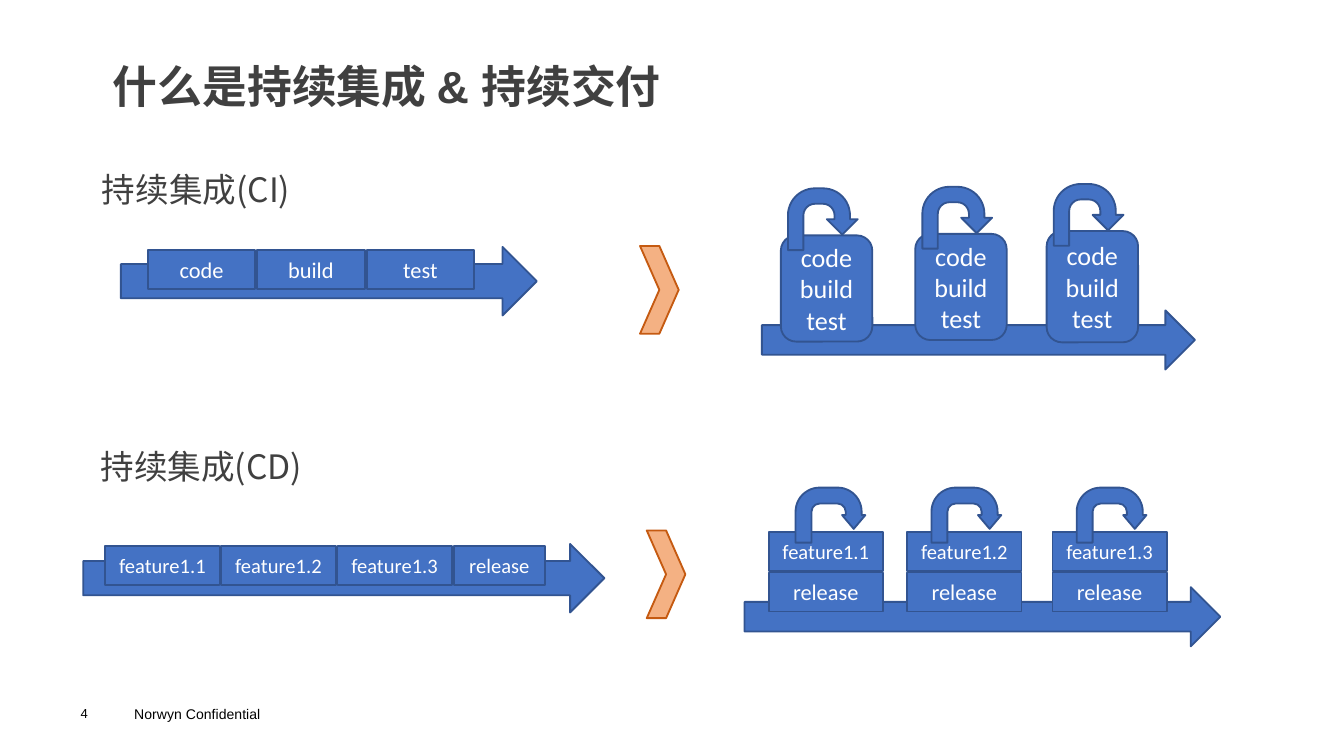
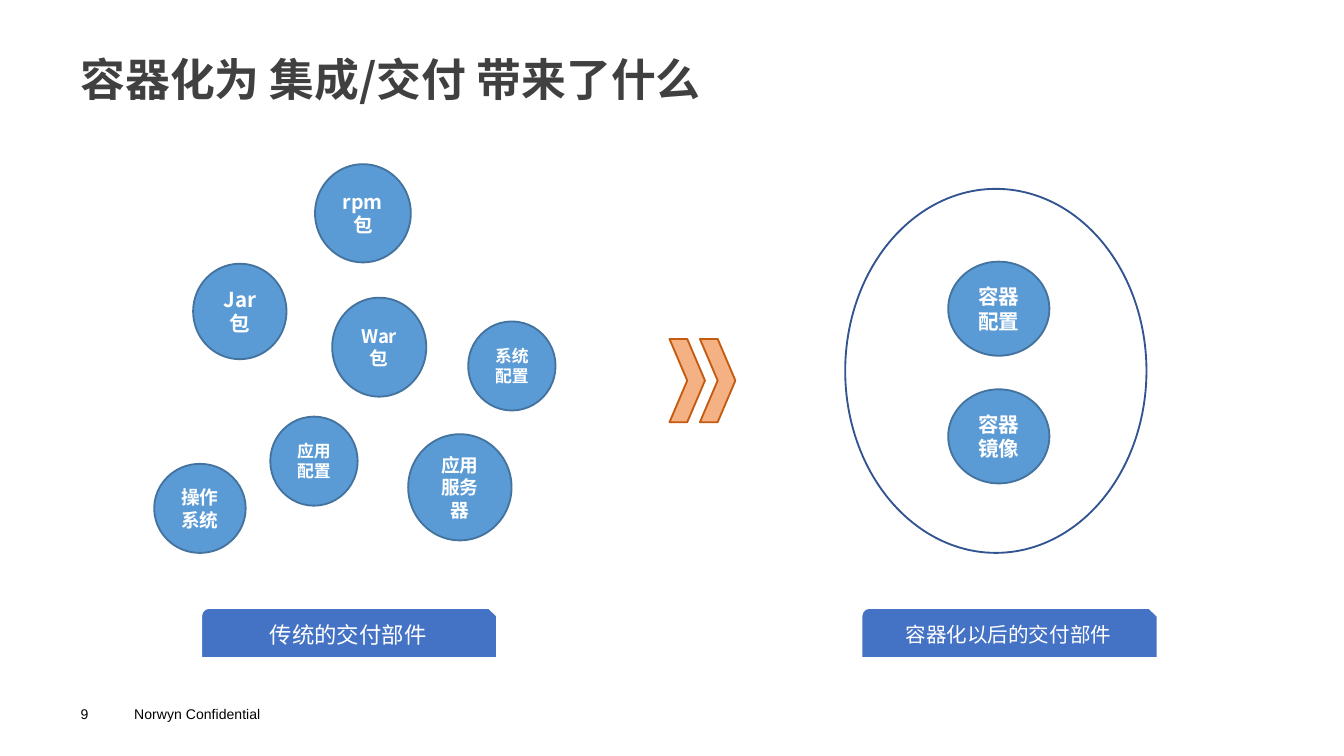
import pptx
import pptx.dml.color
import pptx.enum.shapes
import pptx.enum.text
import pptx.oxml.ns
import pptx.util
from lxml import etree

Pt = pptx.util.Pt
SHAPE = pptx.enum.shapes.MSO_SHAPE
ANCHOR = pptx.enum.text.MSO_ANCHOR
ALIGN = pptx.enum.text.PP_ALIGN

COLORS = {
    "blue": "4472C4", "blue_edge": "325491",
    "sky": "5B9BD5", "sky_edge": "43739E",
    "peach": "F4B183", "peach_edge": "C55A11",
    "heading": "404040", "white": "FFFFFF", "black": "000000",
}
HAN = "Noto Sans CJK SC"
LATIN = "Calibri"
ARIAL = "Arial"
STAGE_HEIGHT = 20.9


def rgb(name):
    """Look up a palette colour."""
    return pptx.dml.color.RGBColor.from_string(COLORS[name])


def write(frame, text, size, font, color, bold=False, align=None, spacing=None):
    """Fill a text frame with one paragraph per line of text."""
    frame.word_wrap = True
    frame.text = text
    for paragraph in frame.paragraphs:
        if align is not None:
            paragraph.alignment = align
        if spacing:
            paragraph.line_spacing = Pt(spacing)
        paragraph.font.size = Pt(size)
        paragraph.font.name = font
        paragraph.font.bold = bold
        paragraph.font.color.rgb = rgb(color)
        latin = paragraph._p.find(".//" + pptx.oxml.ns.qn("a:latin"))
        east_asian = etree.Element(pptx.oxml.ns.qn("a:ea"), typeface=HAN)
        latin.addnext(east_asian)


def set_insets(frame, horizontal, vertical):
    """Set the inner margins of a text frame."""
    frame.margin_left = frame.margin_right = Pt(horizontal)
    frame.margin_top = frame.margin_bottom = Pt(vertical)


def label(slide, box, text, size, font, color, padded=True, anchor=ANCHOR.TOP, **style):
    """Place free text in a box."""
    frame = slide.shapes.add_textbox(*map(Pt, box)).text_frame
    if not padded:
        set_insets(frame, 0, 0)
    frame.vertical_anchor = anchor
    write(frame, text, size, font, color, **style)


def block(slide, kind, box, fill="blue", edge="blue_edge", weight=1, adjustments=()):
    """Draw a preset shape with fill and outline."""
    shape = slide.shapes.add_shape(kind, *map(Pt, box))
    shape.shadow.inherit = False
    if fill:
        shape.fill.solid()
        shape.fill.fore_color.rgb = rgb(fill)
    else:
        shape.fill.background()
    shape.line.color.rgb = rgb(edge)
    shape.line.width = Pt(weight)
    for index, value in enumerate(adjustments):
        shape.adjustments[index] = value
    return shape


def caption(shape, text, size, font=LATIN, bold=False):
    """Centre white text in a shape."""
    shape.text_frame.vertical_anchor = ANCHOR.MIDDLE
    write(shape.text_frame, text, size, font, "white", bold, ALIGN.CENTER)


def stage(slide, left, top, width, text, size):
    """Draw one process step."""
    step = block(slide, SHAPE.FLOWCHART_PROCESS, (left, top, width, STAGE_HEIGHT))
    set_insets(step.text_frame, 3, 0)
    caption(step, text, size)


def chevron(slide, box):
    """Draw an orange transition mark."""
    block(slide, SHAPE.CHEVRON, box, "peach", "peach_edge")


def pipeline(slide, box, lead, drop, stages, size):
    """Lay steps one after another along an arrow."""
    left, top, _, _ = box
    block(slide, SHAPE.RIGHT_ARROW, box)
    step_left = left + lead
    for text, width in stages:
        stage(slide, step_left, top + drop, width, text, size)
        step_left += width + 1


def restart(slide, left, top, height, thickness, head):
    """Draw the U-turn arrow above an iteration."""
    block(slide, SHAPE.U_TURN_ARROW, (left, top, 37.4, height),
          adjustments=(thickness, head, 0.25, 0.4375, 0.75))


def integration_loops(slide, box, cards):
    """Set looping code, build and test cards on an arrow."""
    left, top, _, _ = box
    block(slide, SHAPE.RIGHT_ARROW, box)
    for offset, rise, height in cards:
        card = block(slide, SHAPE.ROUNDED_RECTANGLE,
                     (left + offset, top - rise, 49, height))
        set_insets(card.text_frame, 3.6, 0)
        caption(card, "code\nbuild\ntest", 14)
        restart(slide, left + offset + 3.8, top - rise - 25.2, 33.1, 0.25, 0.25)


def delivery_loops(slide, box, features):
    """Set looping feature and release pairs on an arrow."""
    left, top, _, _ = box
    block(slide, SHAPE.RIGHT_ARROW, box)
    for text, offset, turn in features:
        for row, (step, size) in enumerate(((text, 11), ("release", 12))):
            stage(slide, left + offset, top - 29.5 + 21.6 * row, 61.2, step, size)
        restart(slide, left + offset + turn, top - 53.4, 29.5, 0.29, 0.211)


def bubble(slide, box, text, size):
    """Draw a delivery part as a circle."""
    caption(block(slide, SHAPE.OVAL, box, "sky", "sky_edge"), text, size, HAN, True)


def banner(slide, left, text, size):
    """Draw the name of a group of parts."""
    plate = block(slide, SHAPE.SNIP_ROUND_RECTANGLE, (left, 325.4, 159.1, 27.4),
                  edge="white", weight=1.5)
    caption(plate, text, size, HAN)


def new_slide(deck, number, number_size, title, box, font, spacing):
    """Add a blank slide with its title and footer."""
    slide = deck.slides.add_slide(deck.slide_layouts[6])
    label(slide, (64.8, 374.4, 86.4, 16.6), "Norwyn Confidential", 7.5, ARIAL, "black")
    label(slide, (43.2, 371.5, 25.9, 21.6), number, number_size, ARIAL, "black",
          padded=False, anchor=ANCHOR.MIDDLE)
    label(slide, box, title, 24, font, "heading", padded=False, bold=True, spacing=spacing)
    return slide


def pipelines_slide(deck):
    """Compare single runs with continuous integration and delivery."""
    slide = new_slide(deck, "4", 7, "什么是持续集成 & 持续交付",
                      (60.5, 49.7, 586.8, 41), ARIAL, 10.6)
    pipeline(slide, (64.8, 132.3, 222.8, 36.7), 14.4, 1.5,
             [(step, 57.6) for step in ("code", "build", "test")], 12)
    chevron(slide, (342.9, 131.8, 20.7, 47))
    integration_loops(slide, (408.2, 166.3, 232, 31.7),
                      [(10.1, 40.2, 56.9), (82.1, 41, 56.9), (152.5, 42.5, 59.6)])
    features = ["feature1.1", "feature1.2", "feature1.3"]
    pipeline(slide, (44.6, 291.4, 279.2, 36.7), 11.8, 1,
             [(feature, 61.2) for feature in features] + [("release", 49)], 11)
    chevron(slide, (346.5, 284.2, 20.7, 47))
    delivery_loops(slide, (398.9, 314.6, 254.9, 31.7),
                   zip(features, (12.9, 87.1, 164.9), (14.4, 13, 13)))
    label(slide, (47.5, 87.1, 640, 28.8), "持续集成(CI)", 18, HAN, "heading")
    label(slide, (46.8, 235.4, 640, 28.8), "持续集成(CD)", 18, HAN, "heading")


def traditional_parts(slide, left, top):
    """Scatter the traditional delivery parts."""
    for text, size, x, y, width, height in (
        ("Jar包", 11, 20.9, 53.3, 50, 51.1),
        ("War包", 10, 95.4, 71.5, 50.4, 53),
        ("应用配置", 9, 62.2, 135.2, 46.8, 47.7),
        ("应用服务器", 10, 136.1, 144.6, 55.4, 56.9),
        ("系统配置", 9, 168.2, 84.2, 46.8, 47.7),
        ("rpm包", 10.5, 86.2, 0, 51.3, 52.6),
        ("操作系统", 10, 0, 160.5, 49, 47.7),
    ):
        bubble(slide, (left + x, top + y, width, height), text, size)


def container_parts(slide, box):
    """Enclose the container parts in one outline."""
    left, top, _, _ = box
    block(slide, SHAPE.OVAL, box, fill=None)
    for row, text in enumerate(("容器配置", "容器\n镜像")):
        bubble(slide, (left + 55.2, top + 39 + 68.4 * row, 54.2, 50.4), text, 11)


def containers_slide(deck):
    """Show what containers change in the parts delivered."""
    slide = new_slide(deck, "9", 7.5, "容器化为 集成/交付 带来了什么",
                      (43.2, 30.2, 633.6, 58.3), HAN, 26.4)
    traditional_parts(slide, 82.6, 88)
    for left in (358.7, 375):
        chevron(slide, (left, 181.6, 19, 44.6))
    container_parts(slide, (452.8, 101.2, 161.4, 195))
    banner(slide, 107.5, "传统的交付部件", 12)
    banner(slide, 461.2, "容器化以后的交付部件", 11)


def main():
    """Build and save the deck."""
    deck = pptx.Presentation()
    deck.slide_width, deck.slide_height = Pt(720), Pt(405)
    pipelines_slide(deck)
    containers_slide(deck)
    deck.save("out.pptx")


if __name__ == "__main__":
    main()
